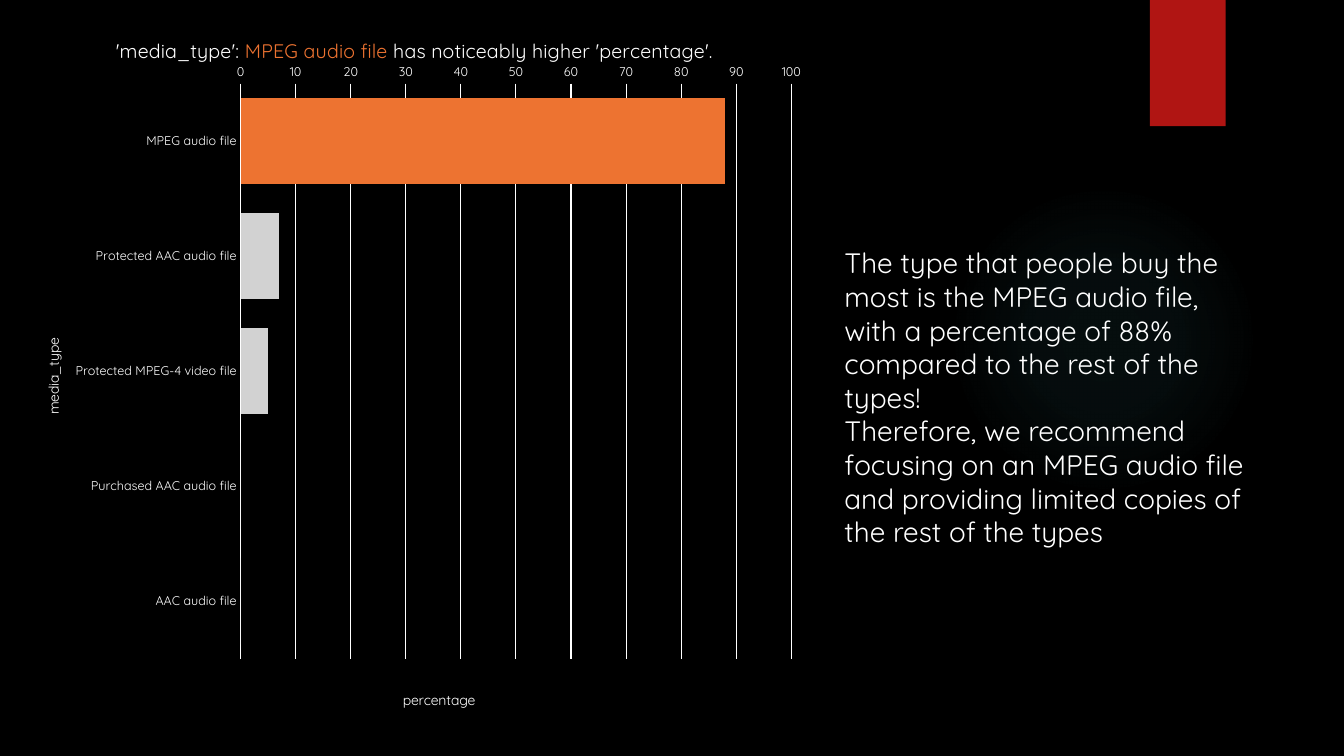
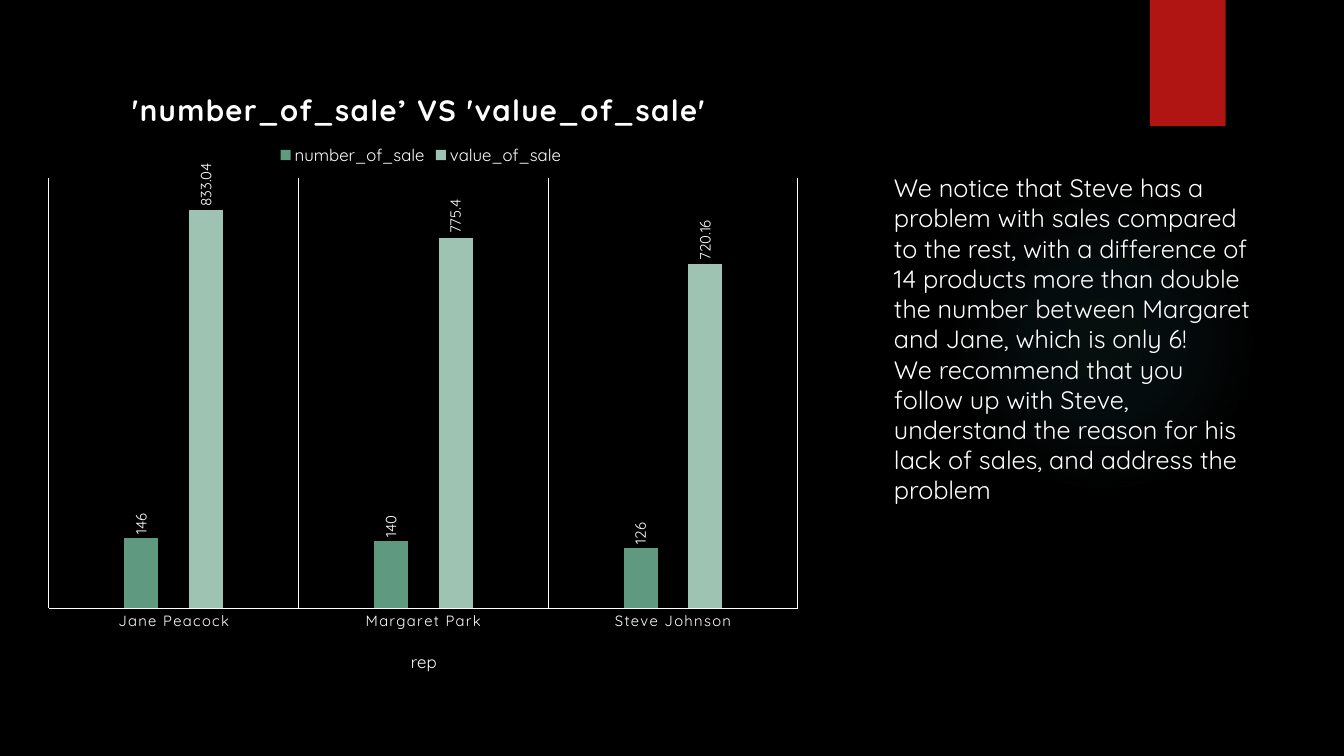
from lxml import etree
from pptx import Presentation
from pptx.chart.data import CategoryChartData
from pptx.dml.color import RGBColor
from pptx.enum.chart import XL_AXIS_CROSSES as Crosses
from pptx.enum.chart import XL_CHART_TYPE as ChartType
from pptx.enum.chart import XL_LABEL_POSITION as LabelPos
from pptx.enum.chart import XL_LEGEND_POSITION as LegendPos
from pptx.enum.chart import XL_TICK_MARK as TickMark
from pptx.enum.shapes import MSO_SHAPE as Shape
from pptx.oxml import parse_xml
from pptx.oxml.ns import nsdecls, qn
from pptx.util import Cm, Pt

FONT = "Quicksand"
BLACK = RGBColor(0x00, 0x00, 0x00)
WHITE = RGBColor(0xFF, 0xFF, 0xFF)
RED = RGBColor(0xB0, 0x15, 0x13)
TEAL = RGBColor(0x50, 0xB9, 0xC1)
ORANGE = RGBColor(0xED, 0x73, 0x31)
GREY = RGBColor(0xD2, 0xD2, 0xD2)
GREEN = RGBColor(0x5E, 0x99, 0x80)
MINT = RGBColor(0x9E, 0xC3, 0xB2)
GLOW_STOPS = ((0, 7), (36, 6), (69, 0), (100, 0))


def style_font(font, size, color=WHITE, bold=False):
    """Set the shared typeface with a size, colour and weight."""
    font.name, font.size, font.bold = FONT, Pt(size), bold
    font.color.rgb = color


def add_run(p, text, size, color=WHITE, bold=False):
    """Append one styled run to a paragraph."""
    r = p.add_run()
    r.text = text
    style_font(r.font, size, color, bold)
    return r


def add_plain_shape(s, kind, x, y, w, h, color):
    """Add a filled shape without outline or shadow."""
    sp = s.shapes.add_shape(kind, Cm(x), Cm(y), Cm(w), Cm(h))
    sp.shadow.inherit = False
    sp.fill.solid()
    sp.fill.fore_color.rgb = color
    sp.line.fill.background()
    return sp


def add_glow(s):
    """Add the faint round glow behind the text."""
    sp = add_plain_shape(s, Shape.OVAL, 23.9, 4.65, 7.82, 7.82, TEAL)
    stops = "".join(
        f'<a:gs pos="{pos * 1000}"><a:srgbClr val="{TEAL}">'
        f'<a:alpha val="{alpha * 1000}"/></a:srgbClr></a:gs>'
        for pos, alpha in GLOW_STOPS)
    grad = parse_xml(
        f'<a:gradFill {nsdecls("a")}><a:gsLst>{stops}</a:gsLst><a:path path="circle">'
        '<a:fillToRect l="50000" t="50000" r="50000" b="50000"/></a:path></a:gradFill>')
    solid = sp._element.spPr.find(qn("a:solidFill"))
    solid.getparent().replace(solid, grad)


def add_base_slide(prs):
    """Add a blank slide with the glow and the red tab."""
    s = prs.slides.add_slide(prs.slide_layouts[6])
    add_glow(s)
    add_plain_shape(s, Shape.RECTANGLE, 28.98, 0, 1.91, 3.18, RED)
    return s


def add_text(s, x, y, w, h, paragraphs, size):
    """Add a wrapping text box with one run per paragraph."""
    tf = s.shapes.add_textbox(Cm(x), Cm(y), Cm(w), Cm(h)).text_frame
    tf.word_wrap = True
    for i, text in enumerate(paragraphs):
        p = tf.add_paragraph() if i else tf.paragraphs[0]
        add_run(p, text, size)


def set_layout(element, index, x, y, w=None, h=None):
    """Place a chart part by fractions of the chart area."""
    for old in element.findall(qn("c:layout")):
        element.remove(old)
    layout = parse_xml(f'<c:layout {nsdecls("c")}><c:manualLayout/></c:layout>')
    values = [("xMode", "edge"), ("yMode", "edge"), ("x", x), ("y", y)]
    if w:
        values = [("layoutTarget", "inner")] + values + [("w", w), ("h", h)]
    for tag, value in values:
        etree.SubElement(layout[0], qn(f"c:{tag}")).set("val", str(value))
    element.insert(index, layout)


def set_title(owner_title, x, y, runs, size, bold=False, spacing=0):
    """Write and place a chart or axis title."""
    p = owner_title.text_frame.paragraphs[0]
    for text, color in runs:
        r = add_run(p, text, size, color, bold)
        if spacing:
            r._r.get_or_add_rPr().set("spc", str(spacing))
    set_layout(owner_title._element, 1, x, y)


def rotate_up(element):
    """Turn the text of a chart part to read upwards."""
    body = next(element.iter(qn("a:bodyPr")))
    body.set("rot", "-5400000")
    body.set("vert", "horz")


def white_line(fmt):
    """Draw a thin white line."""
    fmt.line.color.rgb = WHITE
    fmt.line.width = Pt(0.75)


def style_axis(axis, size):
    """Remove tick marks and style the labels of an axis."""
    axis.major_tick_mark = axis.minor_tick_mark = TickMark.NONE
    style_font(axis.tick_labels.font, size)


def add_bars(s, kind, box, categories, series, gap, overlap, plot_box, top):
    """Add a clustered chart from (name, values, colour) series."""
    data = CategoryChartData()
    data.categories = categories
    for name, values, _ in series:
        data.add_series(name, values)
    chart = s.shapes.add_chart(kind, *map(Cm, box), data).chart
    style_font(chart.font, 10)
    chart.has_title, chart.has_legend = True, False
    plot = chart.plots[0]
    plot.gap_width, plot.overlap, plot.vary_by_categories = gap, overlap, False
    for ser, (_, _, color) in zip(plot.series, series):
        ser.format.fill.solid()
        ser.format.fill.fore_color.rgb = color
    value_axis = chart.value_axis
    value_axis.minimum_scale, value_axis.maximum_scale = 0, top
    white_line(chart.category_axis.format)
    set_layout(chart._chartSpace.chart.plotArea, 0, *plot_box)
    return chart


def add_media_chart(s):
    """Add the bar chart of media types."""
    categories = ["MPEG audio file", "Protected AAC audio file",
                  "Protected MPEG-4 video file", "Purchased AAC audio file",
                  "AAC audio file"]
    chart = add_bars(s, ChartType.BAR_CLUSTERED, (0.43, 0.3, 20.12, 18.11), categories,
                     [("Series 1", (88, 7, 5, 0, 0), GREY)], 33, -30,
                     (0.28, 0.1, 0.69, 0.8), 100)
    set_title(chart.chart_title, 0.12, 0.03,
              [("'media_type': ", WHITE), ("MPEG audio file", ORANGE),
               (" has noticeably higher 'percentage'.", WHITE)], 14)
    leader = chart.plots[0].series[0].points[0].format.fill
    leader.solid()
    leader.fore_color.rgb = ORANGE

    cat, val = chart.category_axis, chart.value_axis
    style_axis(cat, 9)
    style_axis(val, 9)
    cat.reverse_order = True
    cat.crosses = Crosses.MAXIMUM
    val.major_unit = 10
    val.format.line.fill.background()
    white_line(val.major_gridlines.format)
    set_title(cat.axis_title, 0.03, 0.45, [("media_type", WHITE)], 10)
    rotate_up(cat.axis_title._element)
    set_title(val.axis_title, 0.48, 0.94, [("percentage", WHITE)], 10)


def add_sales_chart(s):
    """Add the column chart of sales per representative."""
    chart = add_bars(s, ChartType.COLUMN_CLUSTERED, (0.84, 1.47, 19.66, 15.93),
                     ["Jane Peacock", "Margaret Park", "Steve Johnson"],
                     [("number_of_sale", (146, 140, 126), GREEN),
                      ("value_of_sale", (833.04, 775.4, 720.16), MINT)],
                     444, -90, (0.02, 0.19, 0.96, 0.68), 900)
    set_title(chart.chart_title, 0.12, 0.04,
              [("'number_of_sale’ VS 'value_of_sale'", WHITE)], 21, True, 100)

    chart.has_legend = True
    legend = chart.legend
    legend.position, legend.include_in_layout = LegendPos.TOP, False
    style_font(legend.font, 12)
    set_layout(legend._element, 1, 0.31, 0.13)

    for ser in chart.plots[0].series:
        labels = ser.data_labels
        labels.show_value, labels.position = True, LabelPos.OUTSIDE_END
        style_font(labels.font, 10.6)
        rotate_up(labels._element)

    cat, val = chart.category_axis, chart.value_axis
    style_axis(cat, 10.6)
    next(cat._element.find(qn("c:txPr")).iter(qn("a:defRPr"))).set("spc", "100")
    white_line(cat.major_gridlines.format)
    val.has_major_gridlines = False
    val.visible = False
    set_title(cat.axis_title, 0.48, 0.93, [("rep", WHITE)], 12)


def main():
    """Build and save the presentation."""
    prs = Presentation()
    prs.slide_width, prs.slide_height = Cm(33.87), Cm(19.05)
    fill = prs.slide_master.background.fill
    fill.solid()
    fill.fore_color.rgb = BLACK

    s = add_base_slide(prs)
    add_media_chart(s)
    add_text(s, 21.03, 6.07, 10.74, 7.95, [
        "The type that people buy the most is the MPEG audio file, with a percentage "
        "of 88% compared to the rest of the types!",
        "Therefore, we recommend focusing on an MPEG audio file and providing limited "
        "copies of the rest of the types"], 20)

    s = add_base_slide(prs)
    add_sales_chart(s)
    add_text(s, 22.28, 4.22, 9.63, 9.5, [
        "We notice that Steve has a problem with sales compared to the rest, with a "
        "difference of 14 products more than double the number between Margaret and "
        "Jane, which is only 6!",
        "We recommend that you follow up with Steve, understand the reason for his "
        "lack of sales, and address the problem"], 18)
    prs.save("out.pptx")


if __name__ == "__main__":
    main()
